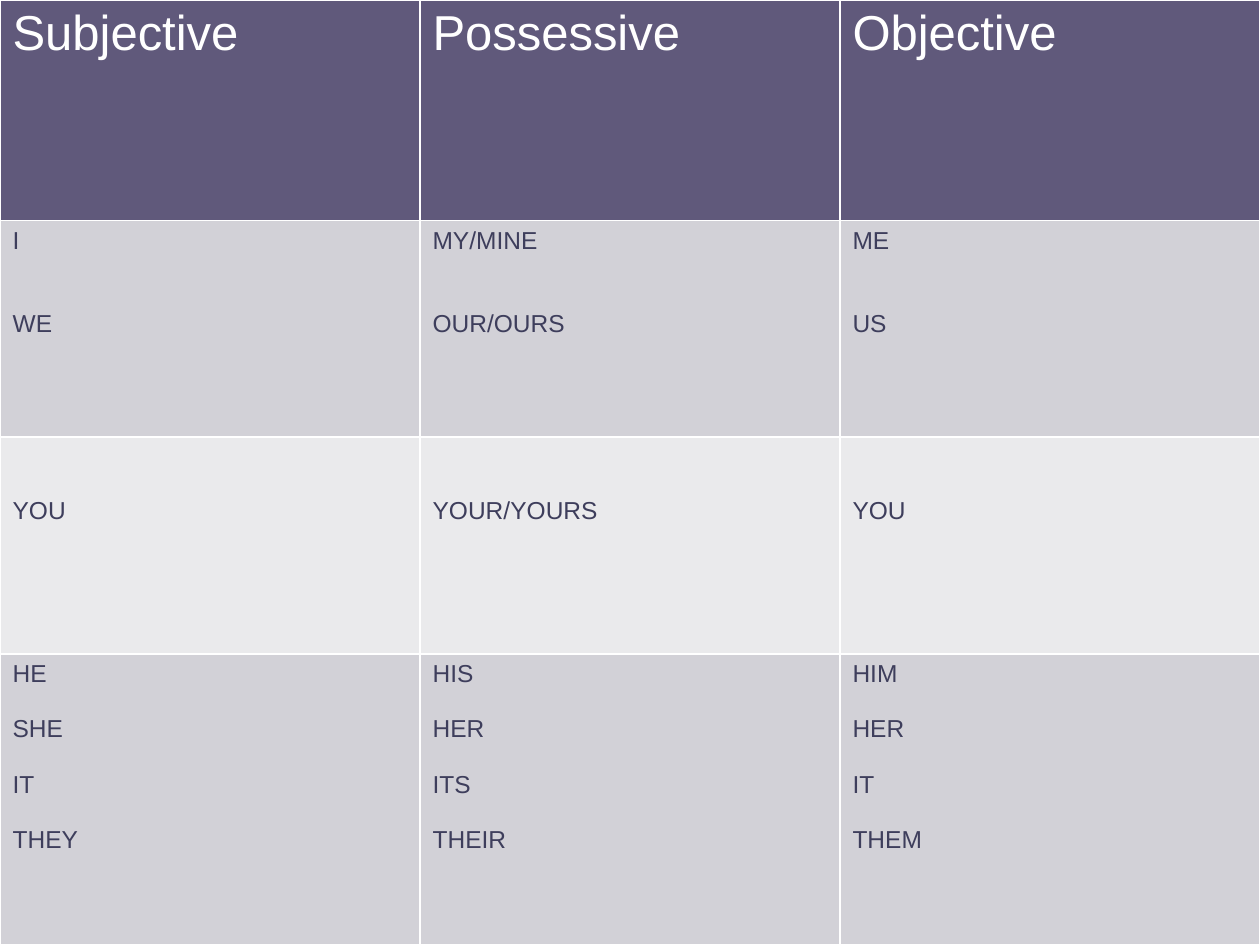
from pptx import Presentation
from pptx.dml.color import RGBColor
from pptx.util import Inches, Pt

FONT = "Arial"
WHITE, INK = "FFFFFF", "3E3E5C"
PURPLE, GREY, PALE = "60597B", "D2D1D7", "EAEAEC"

# Content: each cell is a list of lines
HEADINGS = [["Subjective"], ["Possessive"], ["Objective"]]
FIRST_PERSON = [["I", "WE"], ["MY/MINE", "OUR/OURS"], ["ME", "US"]]
SECOND_PERSON = [["YOU"], ["YOUR/YOURS"], ["YOU"]]
THIRD_PERSON = [
    ["HE", "SHE", "IT", "THEY"],
    ["HIS", "HER", "ITS", "THEIR"],
    ["HIM", "HER", "IT", "THEM"],
]

# Row height, fill, top margin, text format, cells
ROWS = [
    (1.75, PURPLE, 0.05, dict(size=28, color=WHITE), HEADINGS),
    (1.72, GREY, 0.05, dict(size=14, color=INK, gap=32), FIRST_PERSON),
    (1.72, PALE, 0.48, dict(size=14, color=INK), SECOND_PERSON),
    (2.31, GREY, 0.05, dict(size=14, color=INK, gap=16), THIRD_PERSON),
]


def rgb(value):
    return RGBColor.from_string(value)


def write(tf, lines, size, color, gap=0):
    for i, line in enumerate(lines):
        p = tf.paragraphs[0] if i == 0 else tf.add_paragraph()
        p.space_before = Pt(gap if i else 0)
        r = p.add_run()
        r.text = line
        r.font.name = FONT
        r.font.size = Pt(size)
        r.font.bold = False
        r.font.color.rgb = rgb(color)


prs = Presentation()
prs.slide_width, prs.slide_height = Inches(10), Inches(7.5)
s = prs.slides.add_slide(prs.slide_layouts[6])

# Pronoun table over the whole slide; its style draws the white borders
table = s.shapes.add_table(len(ROWS), len(HEADINGS), 0, 0,
                           prs.slide_width, prs.slide_height).table
for row, (height, fill, top, style, cells) in zip(table.rows, ROWS):
    row.height = Inches(height)
    for cell, lines in zip(row.cells, cells):
        cell.fill.solid()
        cell.fill.fore_color.rgb = rgb(fill)
        cell.margin_top = Inches(top)
        write(cell.text_frame, lines, **style)

prs.save("out.pptx")
